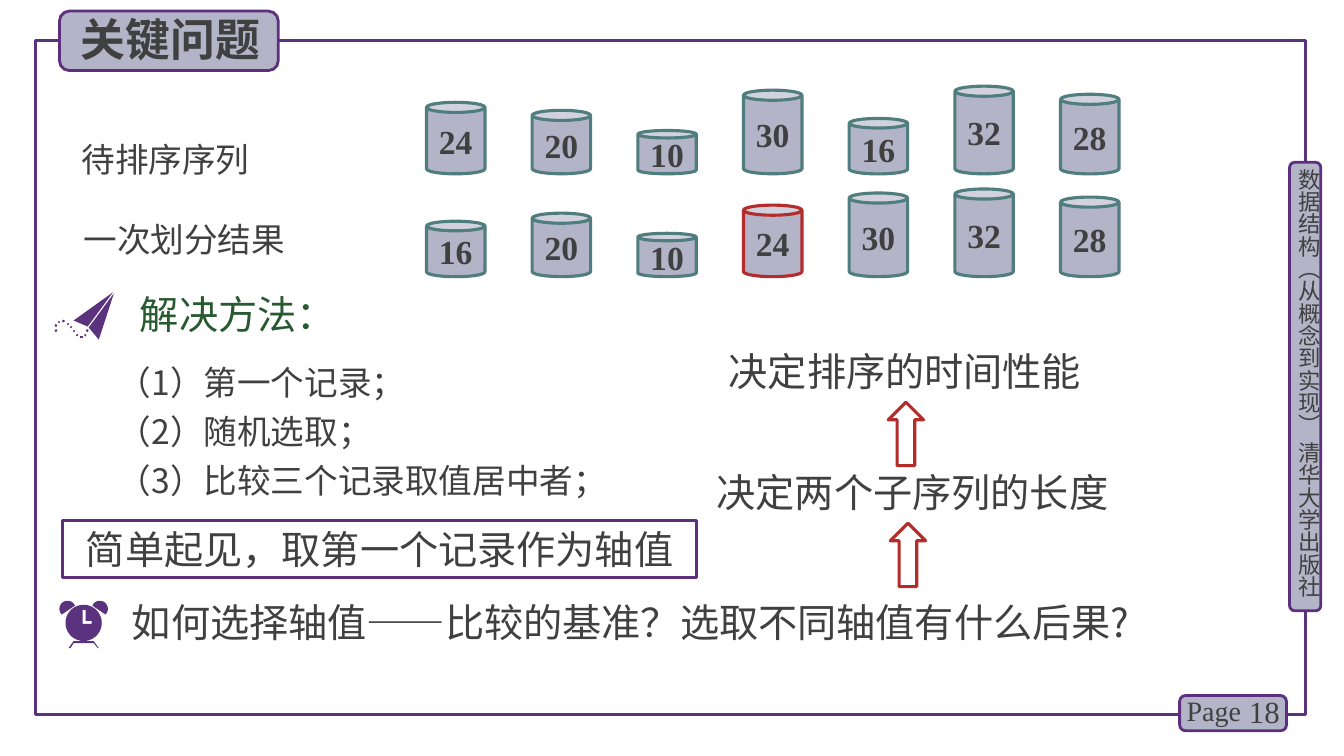
"""Build the slide on choosing the pivot in quick sort."""
import math

from lxml import etree
from pptx import Presentation
from pptx import util as u
from pptx.dml.color import RGBColor
from pptx.enum import shapes, text
from pptx.oxml.ns import qn

CELL = u.Inches(1)
COLUMNS, ROWS = 13.33, 7.5

PURPLE = RGBColor(0x5A, 0x32, 0x7D)
BORDER = RGBColor(0x5C, 0x30, 0x7D)
LILAC = RGBColor(0xB4, 0xB4, 0xC8)
GREY = RGBColor(0x40, 0x40, 0x40)
GREEN = RGBColor(0x28, 0x5A, 0x32)
TEAL = RGBColor(0x50, 0x7D, 0x7D)
RED = RGBColor(0xB4, 0x2D, 0x2D)

SANS, SERIF = "Noto Sans CJK SC", "Times New Roman"
SHAPE = shapes.MSO_SHAPE
LEFT, CENTER, RIGHT = text.PP_ALIGN.LEFT, text.PP_ALIGN.CENTER, text.PP_ALIGN.RIGHT
TOP, MIDDLE = text.MSO_ANCHOR.TOP, text.MSO_ANCHOR.MIDDLE

CAN_LEFT, CAN_PITCH, CAN_WIDTH = 4.23, 1.048, 0.58
SEQUENCES = [
    (1.725, [24, 20, 10, 30, 16, 32, 28], None),
    (2.745, [16, 20, 10, 24, 30, 32, 28], 24),
]
METHODS = ["（1）第一个记录；", "（2）随机选取；", "（3）比较三个记录取值居中者；"]
TRAIL = [
    (0.87, 3.27, 0.86, 3.29), (0.85, 3.32, 0.84, 3.33), (0.82, 3.34, 0.79, 3.34),
    (0.77, 3.33, 0.76, 3.32), (0.74, 3.29, 0.73, 3.28), (0.71, 3.25, 0.70, 3.24),
    (0.68, 3.22, 0.67, 3.21), (0.64, 3.19, 0.62, 3.18), (0.59, 3.19, 0.58, 3.20),
    (0.56, 3.22, 0.55, 3.24), (0.55, 3.27, 0.56, 3.29),
]


def grid(*lengths):
    """Turn columns and rows into slide lengths."""
    return [round(length * CELL) for length in lengths]


def write(shape, lines, size, font=SANS, color=GREY, bold=False, align=LEFT,
          anchor=TOP, wrap=True, spacing=None):
    """Fill a shape with evenly formatted paragraphs."""
    frame = shape.text_frame
    frame.text = "\n".join(lines)
    frame.word_wrap = wrap
    frame.vertical_anchor = anchor
    for paragraph in frame.paragraphs:
        paragraph.alignment = align
        paragraph.line_spacing = spacing
        paragraph.font.size = u.Pt(size)
        paragraph.font.bold = bold
        paragraph.font.color.rgb = color
        paragraph.font.name = font
    for properties in shape.element.iter(qn("a:defRPr")):
        etree.SubElement(properties, qn("a:ea")).set("typeface", SANS)


def add_label(parent, box, lines, size, **style):
    """Add a text box."""
    label = parent.add_textbox(*grid(*box))
    write(label, lines, size, **style)
    return label


def add_outlined(parent, kind, box, line, width=2.25, fill=None):
    """Add a preset shape with an outline and an optional fill."""
    shape = parent.add_shape(kind, *grid(*box))
    shape.shadow.inherit = False
    shape.line.color.rgb = line
    shape.line.width = u.Pt(width)
    if fill is None:
        shape.fill.background()
    else:
        shape.fill.solid()
        shape.fill.fore_color.rgb = fill
    return shape


def add_badge(parent, box):
    """Add a rounded lilac plate."""
    return add_outlined(parent, SHAPE.ROUNDED_RECTANGLE, box, BORDER, 2, LILAC)


def add_outline(parent, *contours):
    """Add a purple freeform made of closed contours."""
    builder = None
    for contour in contours:
        points = [grid(*point) for point in contour]
        if builder is None:
            builder = parent.build_freeform(*points[0], scale=1.0)
        else:
            builder.move_to(*points[0])
        builder.add_line_segments(points[1:], close=True)
    shape = builder.convert_to_shape()
    shape.shadow.inherit = False
    shape.fill.solid()
    shape.fill.fore_color.rgb = PURPLE
    shape.line.fill.background()


def arc(x, y, radius, start, end, steps=36):
    """Return points on a circle between two angles in degrees."""
    angles = [math.radians(start + (end - start) * i / steps) for i in range(steps + 1)]
    return [(x + radius * math.cos(a), y + radius * math.sin(a)) for a in angles]


def add_dash(parent, x1, y1, x2, y2, half=0.01):
    """Add one thick dash of the plane's trail."""
    length = math.hypot(x2 - x1, y2 - y1)
    dx, dy = half * (x2 - x1) / length, half * (y2 - y1) / length
    add_outline(parent, [(x1 - dy, y1 + dx), (x2 - dy, y2 + dx),
                         (x2 + dy, y2 - dx), (x1 + dy, y1 - dx)])


def add_question(slide):
    """Add the alarm clock and the question beside it."""
    group = slide.shapes.add_group_shape().shapes
    add_label(group, (1.21, 5.89, 11.07, 0.57),
              ["如何选择轴值——比较的基准？选取不同轴值有什么后果?"], 28)
    add_outline(group, [(0.68, 6.43), (0.73, 6.36), (0.93, 6.36), (0.98, 6.43),
                        (0.97, 6.43), (0.93, 6.38), (0.73, 6.38), (0.70, 6.43)])
    add_outline(group, arc(0.67, 6.04, 0.08, 135, 337))
    add_outline(group, arc(0.99, 6.04, 0.08, 45, -157))
    hands = [(0.82, 6.05), (0.85, 6.05), (0.85, 6.16), (0.91, 6.16), (0.91, 6.19), (0.82, 6.19)]
    add_outline(group, arc(0.83, 6.18, 0.18, 0, 360), hands)


def add_solution(slide):
    """Add the paper plane and the heading beside it."""
    group = slide.shapes.add_group_shape().shapes
    add_outline(group, [(1.13, 2.91), (0.98, 3.37), (0.88, 3.25)])
    add_outline(group, [(1.12, 2.90), (0.87, 3.24), (0.73, 3.18)])
    for dash in TRAIL:
        add_dash(group, *dash)
    add_label(group, (1.29, 2.83, 2.17, 0.57), ["解决方法："], 28, color=GREEN, wrap=False)


def add_consequence(slide, box, line, arrow_left, arrow_top):
    """Add a consequence with the arrow that leads up to it."""
    group = slide.shapes.add_group_shape().shapes
    add_label(group, box, [line], 28, wrap=False)
    add_outlined(group, SHAPE.UP_ARROW, (arrow_left, arrow_top, 0.35, 0.63), RED)


def add_cans(slide, bottom, values, pivot):
    """Add a row of cans whose heights follow their values."""
    for index, value in enumerate(values):
        height = 0.23 + 0.02 * value
        box = (CAN_LEFT + index * CAN_PITCH, bottom - height, CAN_WIDTH, height)
        can = add_outlined(slide.shapes, SHAPE.CAN, box, RED if value == pivot else TEAL, fill=LILAC)
        can.adjustments[0] = 0.173
        write(can, [str(value)], 24, SERIF, bold=True, align=CENTER, anchor=MIDDLE, wrap=False)


def add_frame(slide):
    """Add the page frame, the side title and the page number."""
    parent = slide.shapes
    add_outlined(parent, SHAPE.RECTANGLE, (0.35, 0.4, 12.6, 6.69), PURPLE)
    add_badge(parent, (12.79, 1.61, 0.31, 4.45))
    side = add_label(parent, (12.85, 1.67, 0.27, 4.49), ["数据结构（从概念到实现） 清华大学出版社"], 16)
    frame = side.text_frame
    frame.margin_left = frame.margin_right = frame.margin_top = frame.margin_bottom = 0
    side.element.find(".//" + qn("a:bodyPr")).set("vert", "eaVert")
    add_badge(parent, (11.7, 6.9, 1.06, 0.35))
    add_label(parent, (12.2, 6.86, 0.59, 0.4), ["18"], 22, font=SERIF, align=RIGHT, anchor=MIDDLE)
    add_label(parent, (11.67, 6.83, 0.78, 0.44), ["Page"], 20, font=SERIF)


def add_title(slide):
    """Place the title on its plate."""
    add_badge(slide.shapes, (0.59, 0.11, 2.17, 0.59))
    title = slide.shapes.title
    title.left, title.top, title.width, title.height = grid(0.7, 0.07, 2.12, 0.64)
    write(title, ["关键问题"], 32, bold=True)
    title.text_frame.auto_size = text.MSO_AUTO_SIZE.NONE
    title.element.getparent().append(title.element)


def main():
    """Build and save the slide."""
    presentation = Presentation()
    presentation.slide_width, presentation.slide_height = grid(COLUMNS, ROWS)
    slide = presentation.slides.add_slide(presentation.slide_layouts.get_by_name("Title Only"))
    add_frame(slide)
    add_title(slide)
    add_question(slide)
    add_consequence(slide, (7.01, 4.6, 4.13, 0.57), "决定两个子序列的长度", 8.83, 5.19)
    add_consequence(slide, (7.13, 3.4, 3.74, 0.57), "决定排序的时间性能", 8.81, 3.99)
    add_solution(slide)
    add_label(slide.shapes, (1.07, 3.45, 5.26, 1.48), METHODS, 24, spacing=u.Pt(35))
    choice = add_outlined(slide.shapes, SHAPE.RECTANGLE, (0.62, 5.16, 6.29, 0.57), BORDER)
    write(choice, ["简单起见，取第一个记录作为轴值"], 28, align=CENTER)
    for sequence in SEQUENCES:
        add_cans(slide, *sequence)
    add_label(slide.shapes, (0.71, 1.33, 2.06, 0.5), ["待排序序列"], 24, font=SERIF, anchor=MIDDLE)
    add_label(slide.shapes, (0.73, 2.12, 2.73, 0.5), ["一次划分结果"], 24, font=SERIF, anchor=MIDDLE)
    presentation.save("out.pptx")


if __name__ == "__main__":
    main()
